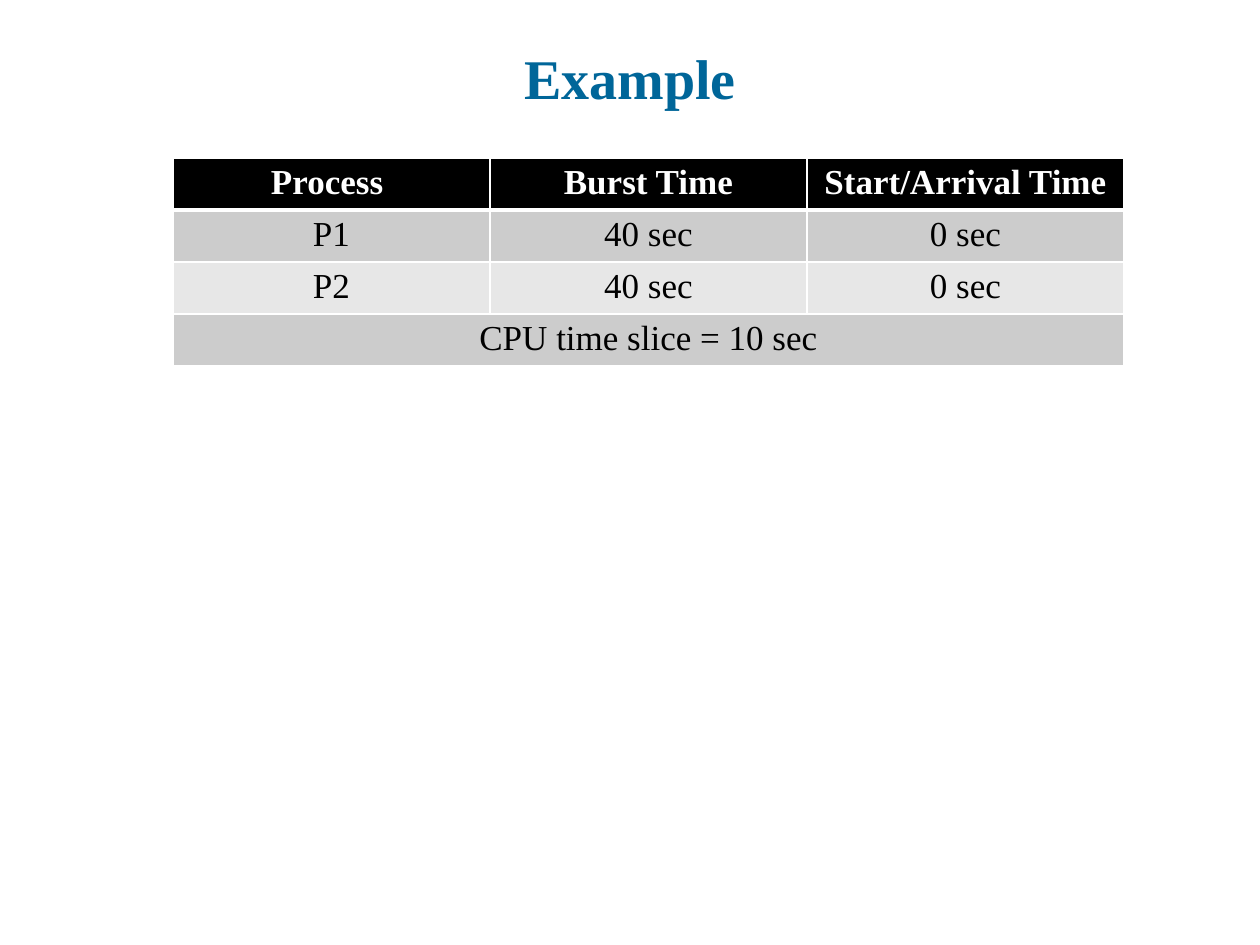
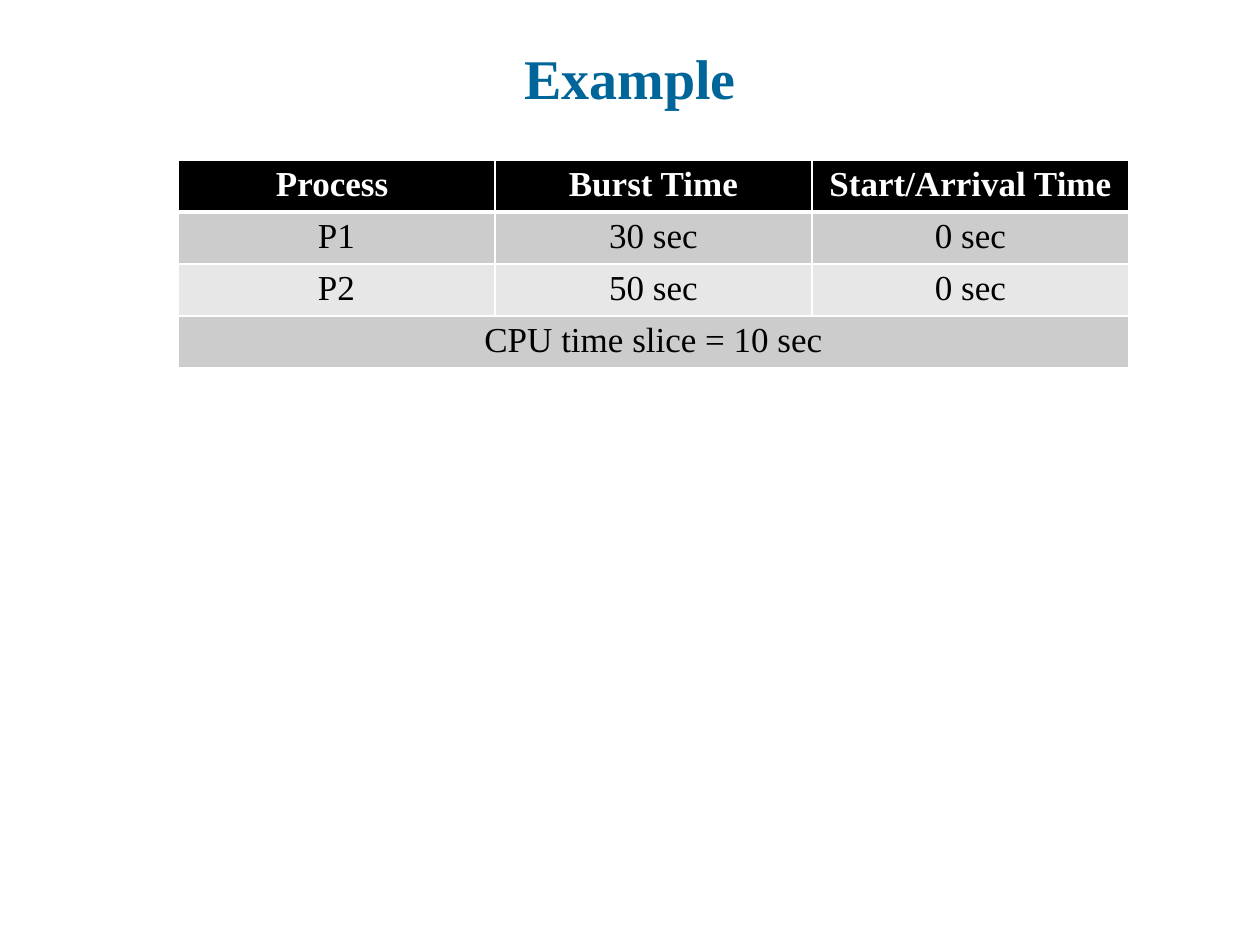
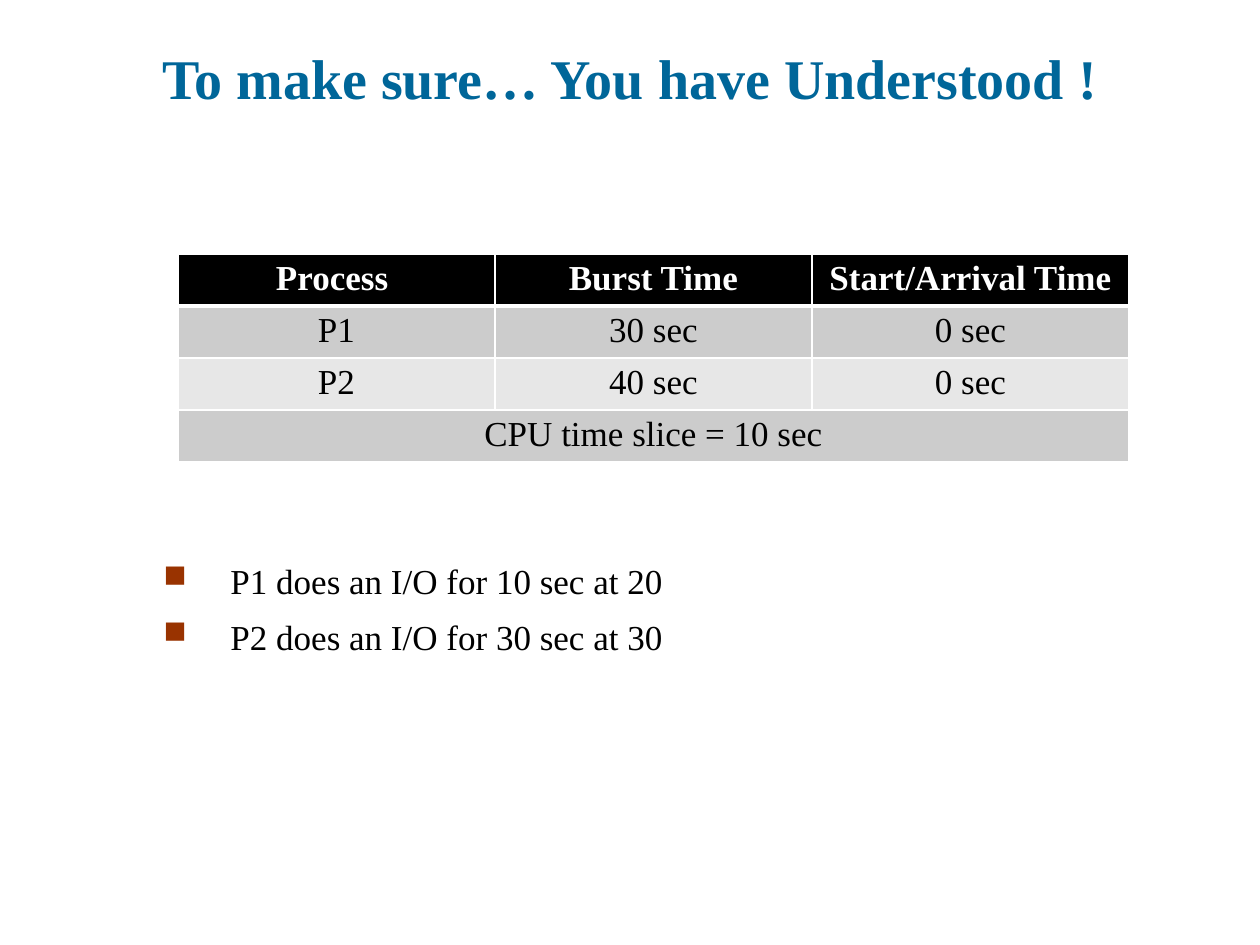
"""Build three slides of CPU scheduling examples with process tables."""
from lxml import etree
from pptx import Presentation
from pptx.dml.color import RGBColor
from pptx.enum.text import MSO_ANCHOR, MSO_AUTO_SIZE, PP_ALIGN
from pptx.oxml.ns import qn
from pptx.util import Emu, Pt

CENTER, LEFT = PP_ALIGN.CENTER, PP_ALIGN.LEFT
BOTTOM, NO_FIT = MSO_ANCHOR.BOTTOM, MSO_AUTO_SIZE.NONE

HEADER = ("Process ", "Burst Time", "Start/Arrival Time")
TIME_SLICE = "CPU time slice = 10 sec"
SLIDES = [
    {"title": "Example", "table_at": (173, 158), "bursts": ("40 sec", "40 sec")},
    {"title": "Example", "table_at": (178, 160), "bursts": ("30 sec", "50 sec")},
    {"title": "To make sure… You have Understood !", "table_at": (178, 254),
     "bursts": ("30 sec", "40 sec"),
     "notes": ("P1 does an I/O for 10 sec at 20", "P2 does an I/O for 30 sec at 30")},
]

COLORS = {"title": "006699", "text": "000000", "paper": "FFFFFF", "header": "000000",
          "odd": "CCCCCC", "even": "E7E7E7", "bullet": "993300"}
FONT = "Times New Roman"
SLIDE_SIZE = (1260, 945)
TITLE_BOX = (63, 38, 1134, 79)
NOTES_BOX = (151, 549, 1016, 210)
NOTES_TOP_INSET = 10
NOTES_INDENT = 67
COLUMN_WIDTH, ROW_HEIGHT = 317, 52
CELL_INSETS = (9, 5, 9, 5)


def px(length):
    return Emu(round(length * 914400 / 126))


def write(paragraph, text, size=20, color="text", bold=False, align=CENTER):
    span = paragraph.add_run()
    span.text = text
    span.font.name, span.font.size, span.font.bold = FONT, Pt(size), bold
    span.font.color.rgb = RGBColor.from_string(COLORS[color])
    paragraph.alignment = align


def add_color(parent, color):
    etree.SubElement(parent, qn("a:srgbClr"), val=COLORS[color])


def set_borders(cell, top, bottom):
    properties = cell._tc.get_or_add_tcPr()
    widths = {"lnL": 1, "lnR": 1, "lnT": top, "lnB": bottom}
    for place, (side, width) in enumerate(widths.items()):
        line = etree.Element(qn(f"a:{side}"), w=str(Pt(width)))
        add_color(etree.SubElement(line, qn("a:solidFill")), "paper")
        properties.insert(place, line)


def add_bullet(paragraph):
    properties = paragraph._p.get_or_add_pPr()
    properties.set("marL", str(px(NOTES_INDENT)))
    properties.set("indent", str(-px(NOTES_INDENT)))
    add_color(etree.SubElement(properties, qn("a:buClr")), "bullet")
    etree.SubElement(properties, qn("a:buSzPct"), val="90000")
    etree.SubElement(properties, qn("a:buChar"), char="■")


def add_title(page, text):
    title = page.shapes.title
    title.left, title.top, title.width, title.height = map(px, TITLE_BOX)
    frame = title.text_frame
    frame.auto_size, frame.vertical_anchor = NO_FIT, BOTTOM
    write(frame.paragraphs[0], text, size=32, color="title", bold=True)


def add_process_table(page, left, top, bursts):
    processes = [(f"P{number}", burst, "0 sec") for number, burst in enumerate(bursts, 1)]
    rows = [HEADER, *processes, (TIME_SLICE, "", "")]
    columns = len(HEADER)
    table = page.shapes.add_table(
        len(rows), columns, px(left), px(top),
        px(COLUMN_WIDTH * columns), px(ROW_HEIGHT * len(rows))).table
    for column in table.columns:
        column.width = px(COLUMN_WIDTH)
    for row_index, row in enumerate(rows):
        table.rows[row_index].height = px(ROW_HEIGHT)
        is_header = row_index == 0
        fill = "header" if is_header else "odd" if row_index % 2 else "even"
        for column_index, text in enumerate(row):
            cell = table.cell(row_index, column_index)
            (cell.margin_left, cell.margin_top,
             cell.margin_right, cell.margin_bottom) = map(px, CELL_INSETS)
            cell.fill.solid()
            cell.fill.fore_color.rgb = RGBColor.from_string(COLORS[fill])
            set_borders(cell, top=3 if row_index == 1 else 1, bottom=3 if is_header else 1)
            if text:
                write(cell.text_frame.paragraphs[0], text, bold=is_header,
                      color="paper" if is_header else "text")
    last = len(rows) - 1
    table.cell(last, 0).merge(table.cell(last, columns - 1))


def add_notes(page, notes):
    frame = page.shapes.add_textbox(*map(px, NOTES_BOX)).text_frame
    frame.word_wrap = True
    frame.margin_top = px(NOTES_TOP_INSET)
    for index, note in enumerate(notes):
        paragraph = frame.add_paragraph() if index else frame.paragraphs[0]
        add_bullet(paragraph)
        if index:
            paragraph.space_before = Pt(8)
        write(paragraph, note, align=LEFT)


def main():
    deck = Presentation()
    deck.slide_width, deck.slide_height = map(px, SLIDE_SIZE)
    for content in SLIDES:
        page = deck.slides.add_slide(deck.slide_layouts[5])
        add_title(page, content["title"])
        add_process_table(page, *content["table_at"], content["bursts"])
        if "notes" in content:
            add_notes(page, content["notes"])
    deck.save("out.pptx")


if __name__ == "__main__":
    main()
